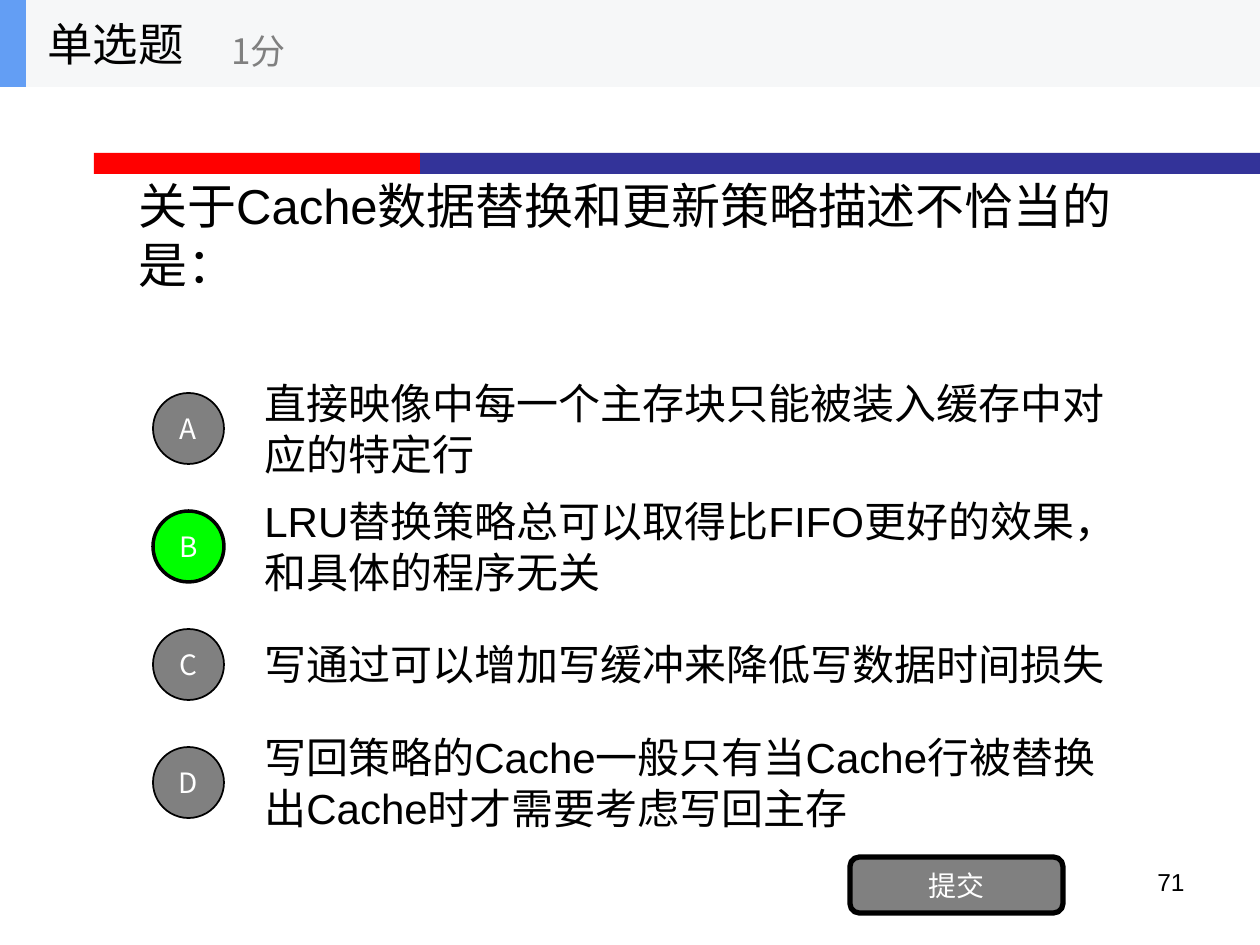
from lxml.etree import SubElement
from pptx import Presentation
from pptx.dml.color import RGBColor
from pptx.enum.shapes import MSO_SHAPE
from pptx.enum.text import MSO_ANCHOR, PP_ALIGN
from pptx.oxml.ns import qn
from pptx.util import Emu, Pt

EMU_PER_PX = 914400 / 126
LATIN = "Arial"
CHINESE = "Noto Sans CJK SC"
BLACK, WHITE, GRAY, GREEN = "000000", "FFFFFF", "808080", "00FF00"
OPTIONS = (
    ("A", "直接映像中每一个主存块只能被装入缓存中对应的特定行"),
    ("B", "LRU替换策略总可以取得比FIFO更好的效果，和具体的程序无关"),
    ("C", "写通过可以增加写缓冲来降低写数据时间损失"),
    ("D", "写回策略的Cache一般只有当Cache行被替换出Cache时才需要考虑写回主存"),
)
ANSWER = "B"
FIRST_OPTION_TOP = 384
OPTION_PITCH = 118


def px(length):
    """Turn pixels into EMU."""
    return Emu(round(length * EMU_PER_PX))


def color(value):
    """Turn a hex string into a colour."""
    return RGBColor.from_string(value)


def write(frame, text, size, font, ink, align=PP_ALIGN.LEFT,
          anchor=MSO_ANCHOR.MIDDLE, spacing=None):
    """Put one styled paragraph into a text frame."""
    frame.word_wrap = True
    frame.vertical_anchor = anchor
    paragraph = frame.paragraphs[0]
    paragraph.text = text
    paragraph.alignment = align
    if spacing:
        paragraph.line_spacing = Pt(spacing)
    paragraph.font.size = Pt(size)
    paragraph.font.name = font
    paragraph.font.color.rgb = color(ink)
    defaults = paragraph._p.pPr.find(qn("a:defRPr"))
    SubElement(defaults, qn("a:ea"), typeface=font)


def add_label(slide, box, text, size, font=LATIN, ink=BLACK, **layout):
    """Add a text box."""
    label = slide.shapes.add_textbox(*map(px, box))
    write(label.text_frame, text, size, font, ink, **layout)


def add_block(slide, box, fill, preset=MSO_SHAPE.RECTANGLE, outline=0):
    """Add a filled shape, outlined in black when a width is given."""
    block = slide.shapes.add_shape(preset, *map(px, box))
    block.shadow.inherit = False
    block.fill.solid()
    block.fill.fore_color.rgb = color(fill)
    if outline:
        block.line.color.rgb = color(BLACK)
        block.line.width = Pt(outline)
    else:
        block.line.fill.background()
    return block


def add_button(slide, box, text, fill, preset, outline):
    """Add a shape with a centred white caption."""
    button = add_block(slide, box, fill, preset, outline)
    frame = button.text_frame
    frame.margin_left = frame.margin_right = 0
    frame.margin_top = frame.margin_bottom = 0
    write(frame, text, 16, CHINESE, WHITE, align=PP_ALIGN.CENTER)


def add_option(slide, top, letter, statement):
    """Add an answer option with its lettered circle."""
    correct = letter == ANSWER
    add_label(slide, (252, top, 882, 88), statement, 24, spacing=29)
    add_button(slide, (153, top + 9, 71, 71), letter,
               GREEN if correct else GRAY, MSO_SHAPE.OVAL, 2 if correct else 1)


def add_header(slide):
    """Add the band with the question type and its score."""
    add_block(slide, (0, 0, 1260, 87), "F6F7F8")
    add_block(slide, (0, 0, 26, 87), "639EF4")
    add_label(slide, (35, 0, 262, 87), "单选题", 26, CHINESE)
    add_label(slide, (219, 15, 315, 71), "1分", 20, CHINESE, GRAY)


def main():
    """Build the quiz slide."""
    deck = Presentation()
    deck.slide_width, deck.slide_height = px(1260), px(945)
    slide = deck.slides.add_slide(deck.slide_layouts[6])
    add_block(slide, (94, 153, 326, 21), "FF0000")
    add_block(slide, (420, 153, 840, 21), "333399")
    add_label(slide, (903, 861, 294, 65), "71", 14,
              align=PP_ALIGN.RIGHT, anchor=MSO_ANCHOR.TOP)
    add_label(slide, (126, 87, 1008, 295),
              "关于Cache数据替换和更新策略描述不恰当的是：", 28, spacing=33.5)
    for index, (letter, statement) in enumerate(OPTIONS):
        add_option(slide, FIRST_OPTION_TOP + index * OPTION_PITCH, letter, statement)
    add_button(slide, (850, 857, 213, 56), "提交", GRAY,
               MSO_SHAPE.ROUNDED_RECTANGLE, 3)
    add_header(slide)
    deck.save("out.pptx")


if __name__ == "__main__":
    main()
